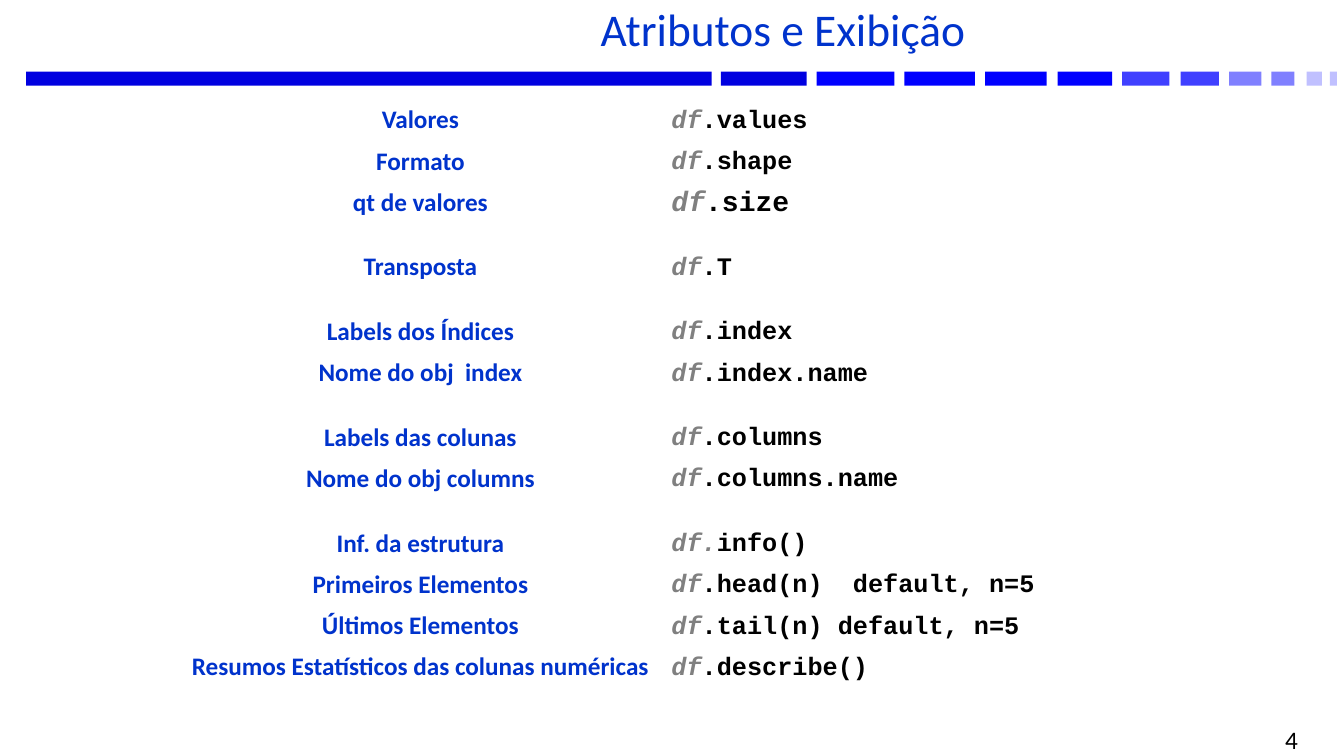
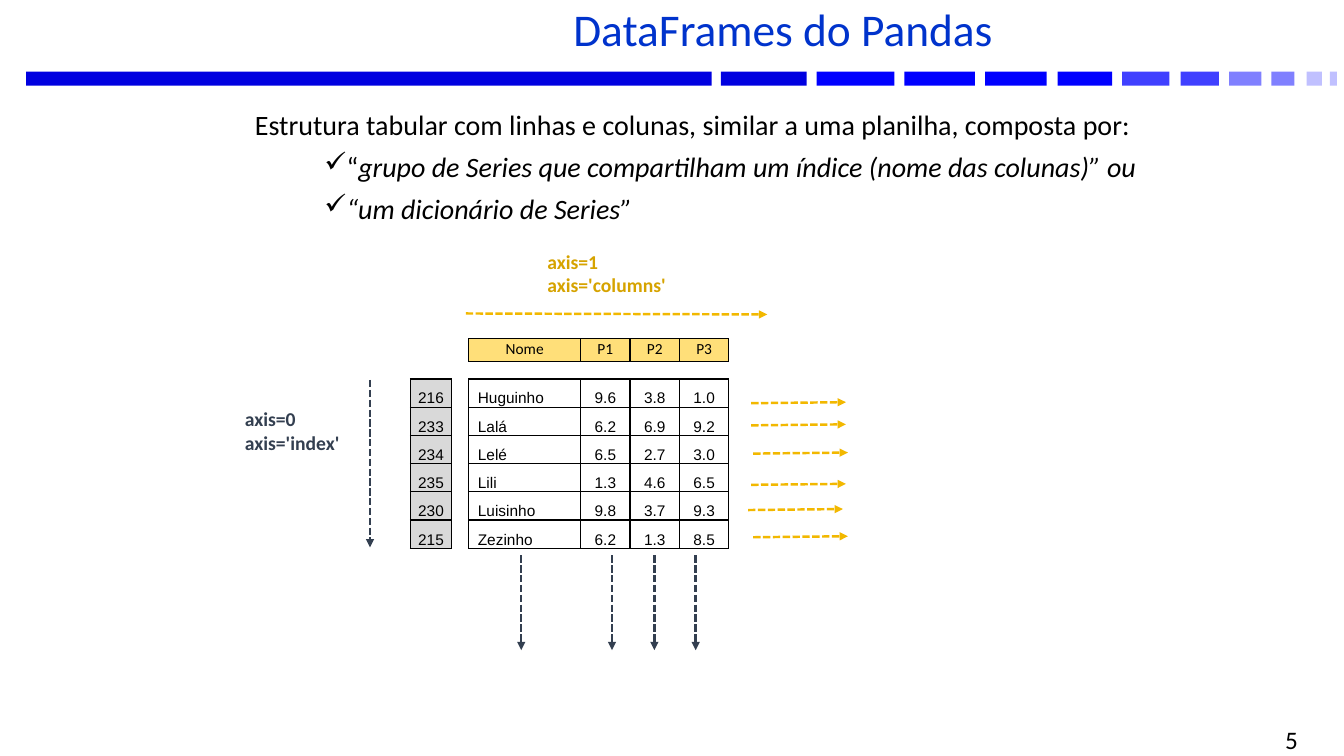
from lxml.etree import SubElement
from pptx import Presentation
from pptx.dml.color import RGBColor
from pptx.enum.dml import MSO_LINE
from pptx.enum.shapes import MSO_CONNECTOR, MSO_SHAPE
from pptx.enum.text import MSO_ANCHOR as Anchor, PP_ALIGN as Align
from pptx.oxml.ns import qn
from pptx.util import Inches, Pt

# Shared look
BLACK = RGBColor(0x00, 0x00, 0x00)
WHITE = RGBColor(0xFF, 0xFF, 0xFF)
TITLE_BLUE = RGBColor(0x00, 0x33, 0xCC)
GRAY = RGBColor(0x80, 0x80, 0x80)
INDEX_GRAY = RGBColor(0xD9, 0xD9, 0xD9)
HEADER_GOLD = RGBColor(0xFF, 0xDF, 0x79)
ARROW_GOLD = RGBColor(0xF2, 0xB8, 0x00)
LABEL_GOLD = RGBColor(0xD6, 0xA3, 0x00)
SLATE = RGBColor(0x33, 0x3F, 0x50)
BAND_DARK = RGBColor(0x00, 0x00, 0xE0)
BAND_BLUE = RGBColor(0x00, 0x00, 0xFF)
BAND_MEDIUM = RGBColor(0x40, 0x40, 0xFF)
BAND_LIGHT = RGBColor(0x80, 0x80, 0xFF)
BAND_PALE = RGBColor(0xC0, 0xC0, 0xFF)
BODY_FONT, CODE_FONT, DATA_FONT = "Calibri", "Courier New", "Arial"
PLAIN_TABLE = "{2D5ABB26-0587-4C30-8999-92F81FD0307C}"

# Left, width and colour of each band segment
BAND = [
    (0.26, 6.8, BAND_DARK), (7.15, 0.85, BAND_DARK),
    (8.1, 0.77, BAND_BLUE), (8.97, 0.7, BAND_BLUE),
    (9.77, 0.61, BAND_BLUE), (10.49, 0.54, BAND_BLUE),
    (11.13, 0.47, BAND_MEDIUM), (11.71, 0.38, BAND_MEDIUM),
    (12.19, 0.32, BAND_LIGHT), (12.61, 0.23, BAND_LIGHT),
    (12.96, 0.15, BAND_PALE), (13.19, 0.07, BAND_PALE),
]

# Groups of (label, grey part, black part, code size)
ATTRIBUTES = [
    [("Valores", "df", ".values", 18),
     ("Formato", "df", ".shape", 18),
     ("qt de valores", "df", ".size", 20)],
    [("Transposta", "df", ".T", 18)],
    [("Labels dos Índices", "df", ".index", 18),
     ("Nome do obj  index", "df", ".index.name", 18)],
    [("Labels das colunas", "df", ".columns", 18),
     ("Nome do obj columns", "df", ".columns.name", 18)],
    [("Inf. da estrutura", "df.", "info()", 18),
     ("Primeiros Elementos", "df", ".head(n)  default, n=5", 18),
     ("Últimos Elementos", "df", ".tail(n) default, n=5", 18),
     ("Resumos Estatísticos das colunas numéricas", "df", ".describe()", 18)],
]

GRADES = [
    ["", "", "Nome", "P1", "P2", "P3"],
    [""] * 6,
    ["216", "", "Huguinho", "9.6", "3.8", "1.0"],
    ["233", "", "Lalá", "6.2", "6.9", "9.2"],
    ["234", "", "Lelé", "6.5", "2.7", "3.0"],
    ["235", "", "Lili", "1.3", "4.6", "6.5"],
    ["230", "", "Luisinho", "9.8", "3.7", "9.3"],
    ["215", "", "Zezinho", "6.2", "1.3", "8.5"],
]
ROW_ARROWS = [(7.45, 3.99), (7.45, 4.21), (7.47, 4.49),
              (7.45, 4.8), (7.42, 5.05), (7.47, 5.32)]
COLUMN_ARROWS = [5.17, 6.07, 6.49, 6.9]


def set_font(font, name, size, color, bold=False):
    font.name, font.size, font.bold = name, Pt(size), bold
    font.color.rgb = color


def set_margins(holder, left, top, right, bottom):
    holder.margin_left, holder.margin_top = Inches(left), Inches(top)
    holder.margin_right, holder.margin_bottom = Inches(right), Inches(bottom)


def add_text(slide, left, top, width, height):
    box = slide.shapes.add_textbox(Inches(left), Inches(top), Inches(width), Inches(height))
    box.text_frame.word_wrap = True
    return box


def add_plain_table(slide, left, top, widths, heights):
    frame = slide.shapes.add_table(len(heights), len(widths), Inches(left), Inches(top),
                                   Inches(sum(widths)), Inches(sum(heights)))
    table = frame.table
    table.first_row = table.horz_banding = False
    table._tbl.tblPr.find(qn("a:tableStyleId")).text = PLAIN_TABLE
    for column, width in zip(table.columns, widths):
        column.width = Inches(width)
    for row, height in zip(table.rows, heights):
        row.height = Inches(height)
    return table


def shrink_empty(cell):
    """Keep an empty cell from stretching its row."""
    set_margins(cell, 0, 0, 0, 0)
    SubElement(cell.text_frame.paragraphs[0]._p, qn("a:endParaRPr"), sz="600")


def add_arrow(slide, start, end, color):
    points = [Inches(value) for value in (*start, *end)]
    arrow = slide.shapes.add_connector(MSO_CONNECTOR.STRAIGHT, *points)
    arrow.line.color.rgb = color
    arrow.line.width = Pt(1.75)
    arrow.line.dash_style = MSO_LINE.SQUARE_DOT
    SubElement(arrow.line._get_or_add_ln(), qn("a:tailEnd"), type="triangle")
    SubElement(arrow._element.spPr, qn("a:effectLst"))


def add_base(prs, title, number):
    """New slide with band, title and page number."""
    slide = prs.slides.add_slide(prs.slide_layouts[6])
    for left, width, color in BAND:
        segment = slide.shapes.add_shape(MSO_SHAPE.RECTANGLE, Inches(left), Inches(0.71),
                                         Inches(width), Inches(0.14))
        segment.shadow.inherit = False
        segment.fill.solid()
        segment.fill.fore_color.rgb = color
        segment.line.fill.background()

    heading = add_text(slide, 2.57, 0.06, 10.39, 0.54)
    page = add_text(slide, 9.86, 7.23, 3.11, 0.22)
    for box, text, align, size, color in (
            (heading, title, Align.CENTER, 32.4, TITLE_BLUE),
            (page, str(number), Align.RIGHT, 18, BLACK)):
        frame = box.text_frame
        set_margins(frame, 0.1, 0, 0.1, 0)
        frame.vertical_anchor = Anchor.MIDDLE
        paragraph = frame.paragraphs[0]
        paragraph.text = text
        paragraph.alignment = align
        set_font(paragraph.font, BODY_FONT, size, color)
    heading.text_frame.paragraphs[0].line_spacing = 0.8
    return slide


def add_attribute_table(slide, left, top):
    rows = []
    for group in ATTRIBUTES:
        rows += ([None] if rows else []) + group
    heights = [0.41 if row else 0.23 for row in rows]
    table = add_plain_table(slide, left, top, [4.78, 5.23], heights)
    for i, row in enumerate(rows):
        label_cell, code_cell = table.cell(i, 0), table.cell(i, 1)
        if row is None:
            shrink_empty(label_cell)
            shrink_empty(code_cell)
            continue
        label, grey, black, size = row
        for cell in (label_cell, code_cell):
            cell.vertical_anchor = Anchor.MIDDLE
            set_margins(cell, 0.1, 0.03, 0.1, 0.03)
        name = label_cell.text_frame.paragraphs[0]
        name.text = label
        name.alignment = Align.CENTER
        name.line_spacing = 0.8
        name.space_before = Pt(6)
        set_font(name.font, BODY_FONT, 18, TITLE_BLUE, bold=True)
        code = code_cell.text_frame.paragraphs[0]
        for text, color in ((grey, GRAY), (black, BLACK)):
            run = code.add_run()
            run.text = text
            set_font(run.font, CODE_FONT, size, color, bold=True)
            run.font.italic = text == grey


def add_definition(slide, left, top, width, height):
    frame = add_text(slide, left, top, width, height).text_frame
    lines = [
        ("Estrutura tabular com linhas e colunas, similar a uma planilha, composta por:", ""),
        ("“", "grupo de Series que compartilham um índice (nome das colunas)” ou"),
        ("", "“um dicionário de Series”"),
    ]
    for i, (upright, slanted) in enumerate(lines):
        paragraph = frame.add_paragraph() if i else frame.paragraphs[0]
        paragraph.space_before = Pt(6 if i else 12)
        margins = paragraph._p.get_or_add_pPr()
        margins.set("marL", str(Inches(0.4 if i else 0)))
        margins.set("indent", str(Inches(0.39 if i else 0.1)))
        if i:
            SubElement(margins, qn("a:buChar"), char="✓")
        set_font(paragraph.font, BODY_FONT, 20, BLACK)
        for text in filter(None, (upright, slanted)):
            run = paragraph.add_run()
            run.text = text
            if text == slanted:
                run.font.italic = True


def add_borders(cell, sides):
    properties = cell._tc.get_or_add_tcPr()
    for position, side in enumerate(sides):
        line = SubElement(properties, qn(f"a:ln{side}"), w=str(Pt(1)))
        fill = SubElement(line, qn("a:solidFill"))
        SubElement(fill, qn("a:srgbClr"), val=str(BLACK))
        properties.insert(position, line)


def add_grades_table(slide, left, top):
    table = add_plain_table(slide, left, top, [0.41, 0.17, 1.11, 0.49, 0.49, 0.49],
                            [0.23, 0.17] + [0.28] * 6)

    def has_text(r, c):
        return 0 <= r < len(GRADES) and 0 <= c < len(GRADES[0]) and GRADES[r][c] != ""

    for r, values in enumerate(GRADES):
        for c, value in enumerate(values):
            cell = table.cell(r, c)
            # An edge is drawn when either cell beside it holds text
            neighbours = {"L": (r, c - 1), "R": (r, c + 1), "T": (r - 1, c), "B": (r + 1, c)}
            sides = [s for s, place in neighbours.items() if value or has_text(*place)]
            if not value:
                shrink_empty(cell)
                add_borders(cell, sides)
                continue
            paragraph = cell.text_frame.paragraphs[0]
            paragraph.text = value
            is_header, is_name = r == 0, r > 0 and c == 2
            paragraph.alignment = Align.LEFT if is_name else Align.CENTER
            set_font(paragraph.font, BODY_FONT if is_header else DATA_FONT, 11, BLACK)
            if is_header:
                set_margins(cell, 0, 0, 0, 0)
                paragraph.line_spacing = 1.07
            else:
                set_margins(cell, 0.09 if is_name else 0.01, 0.01, 0.01, 0)
                cell.vertical_anchor = Anchor.BOTTOM
            if is_header or c == 0:
                cell.fill.solid()
                cell.fill.fore_color.rgb = HEADER_GOLD if is_header else INDEX_GRAY
            add_borders(cell, sides)


def add_axis_label(slide, left, top, width, lines, color):
    box = add_text(slide, left, top, width, 0.57)
    box.fill.solid()
    box.fill.fore_color.rgb = WHITE
    box.text_frame.text = "\n".join(lines)
    for paragraph in box.text_frame.paragraphs:
        set_font(paragraph.font, BODY_FONT, 14, color, bold=True)


def add_axes(slide):
    # Rows: axis 0
    add_axis_label(slide, 2.33, 3.99, 1.14, ["axis=0", "axis='index'"], SLATE)
    add_arrow(slide, (3.67, 3.77), (3.67, 5.43), SLATE)
    for x in COLUMN_ARROWS:
        add_arrow(slide, (x, 5.51), (x, 6.45), SLATE)
    # Columns: axis 1
    add_axis_label(slide, 5.33, 2.43, 1.57, ["axis=1", "axis='columns'"], LABEL_GOLD)
    add_arrow(slide, (4.62, 3.11), (7.61, 3.12), ARROW_GOLD)
    for x, y in ROW_ARROWS:
        add_arrow(slide, (x, y + 0.01), (x + 0.94, y), ARROW_GOLD)


def main():
    prs = Presentation()
    prs.slide_width, prs.slide_height = Inches(13.33), Inches(7.5)

    attributes = add_base(prs, "Atributos e Exibição", 4)
    add_attribute_table(attributes, 1.78, 1)

    dataframes = add_base(prs, "DataFrames do Pandas", 5)
    add_grades_table(dataframes, 4.07, 3.36)
    add_definition(dataframes, 2.33, 1.02, 9.3, 1.7)
    add_axes(dataframes)

    prs.save("out.pptx")


if __name__ == "__main__":
    main()
